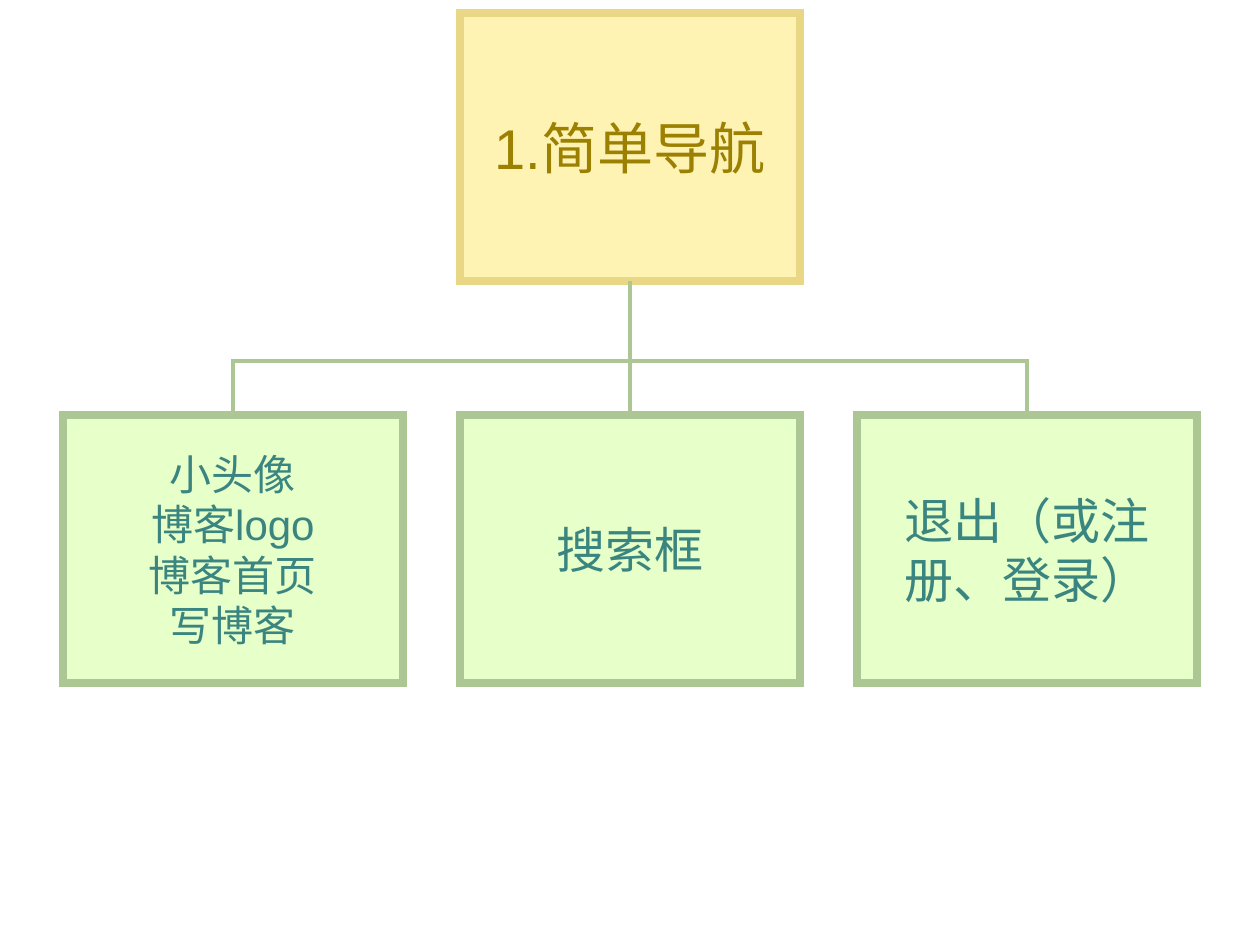
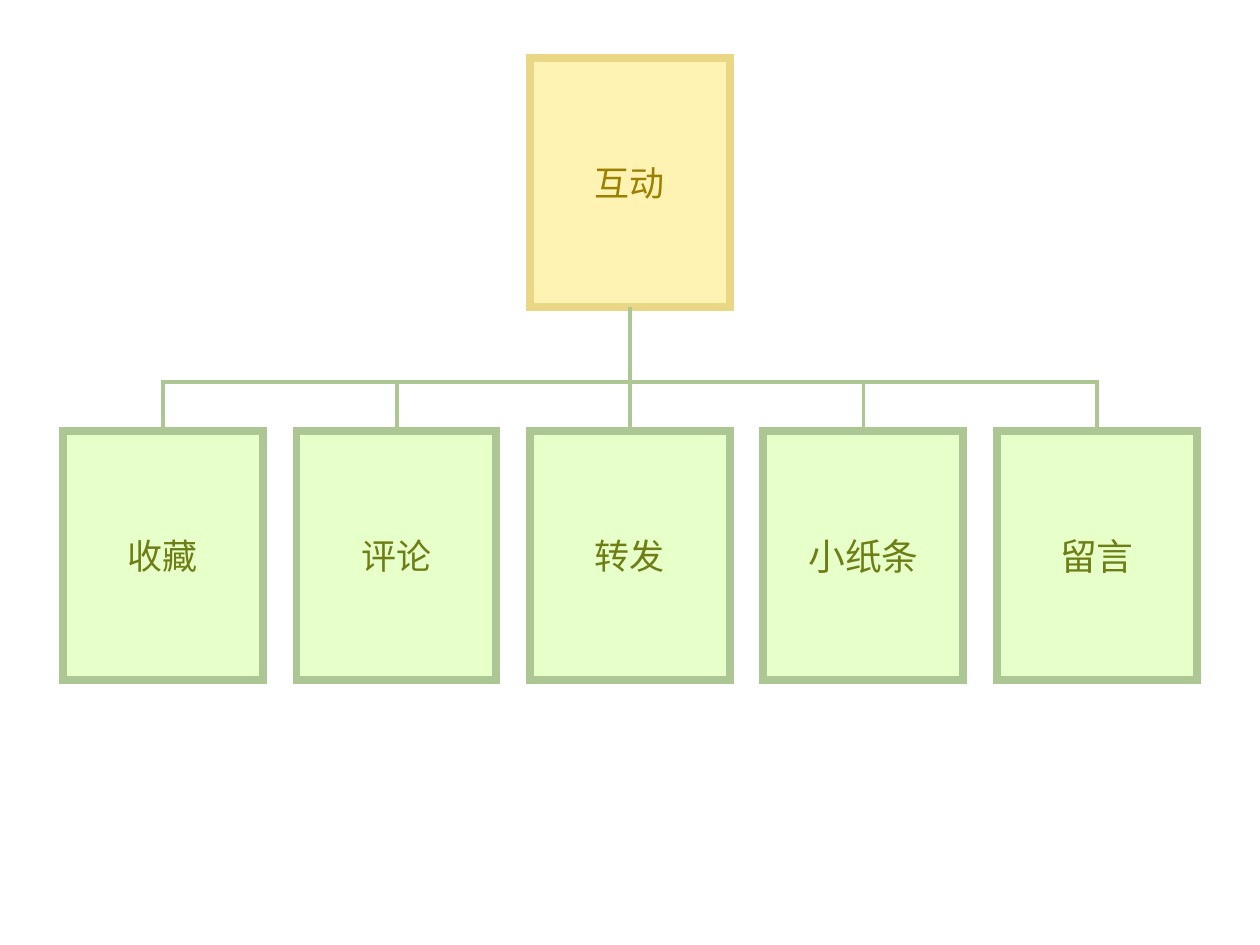
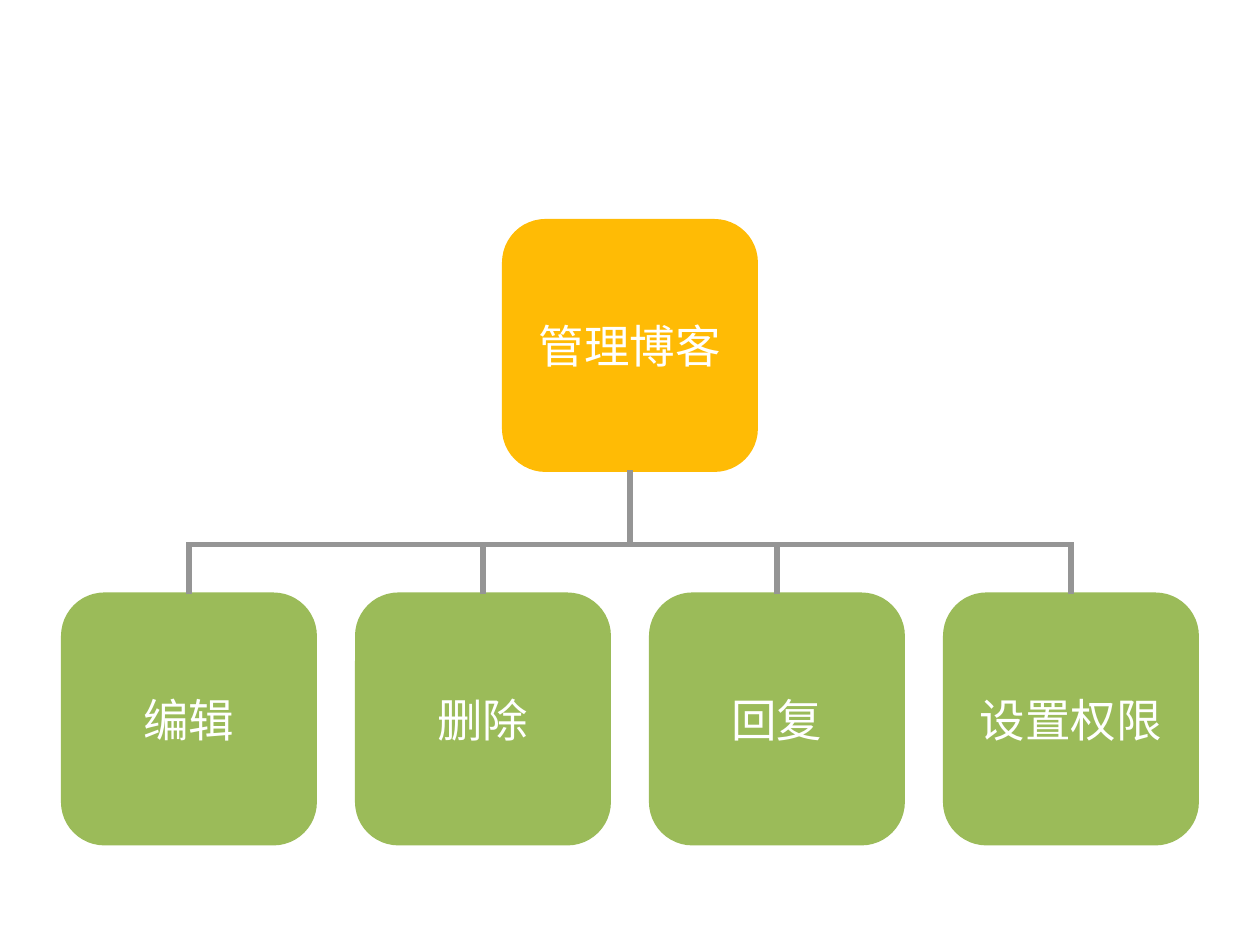
from dataclasses import dataclass

from lxml.etree import SubElement
from pptx import Presentation
from pptx.dml.color import RGBColor
from pptx.enum.shapes import MSO_CONNECTOR as CONN, MSO_SHAPE as SHAPE
from pptx.enum.text import MSO_ANCHOR as ANCHOR, PP_ALIGN as ALIGN
from pptx.oxml.ns import qn
from pptx.util import Pt

SCALE = 914400 / 126  # EMU in one px
SLIDE_W, SLIDE_H = 1260, 945
MARGIN = 63
BEND = 0.4  # where a connector turns, as a share of its rise


@dataclass(frozen=True)
class NodeStyle:
    shape: SHAPE
    fill: str
    line: str
    line_pt: float
    text: str
    alpha: int = 100


@dataclass(frozen=True)
class TreeStyle:
    root: NodeStyle
    child: NodeStyle
    link: str
    link_pt: float


class Theme:
    font = "Arial"
    sizes = {"heading": 32, "large": 28, "wide": 26, "list": 24, "medium": 21, "small": 20}
    cream = NodeStyle(SHAPE.RECTANGLE, "FFE868", "E9D785", 4.5, "9B8002", 50)
    mint_teal = NodeStyle(SHAPE.RECTANGLE, "D0FF94", "ACC794", 4.5, "3B8581", 50)
    mint_olive = NodeStyle(SHAPE.RECTANGLE, "D0FF94", "ACC794", 4.5, "6E7E14", 50)
    amber = NodeStyle(SHAPE.ROUNDED_RECTANGLE, "FFBB05", "FFBB05", 2.25, "FFFFFF")
    green = NodeStyle(SHAPE.ROUNDED_RECTANGLE, "9BBB59", "9BBB59", 2.25, "FFFFFF")
    navigation = TreeStyle(cream, mint_teal, "ACC794", 2.25)
    interaction = TreeStyle(cream, mint_olive, "ACC794", 2.25)
    management = TreeStyle(amber, green, "959595", 3)


# Each tree: style, top, box size, root node, child nodes; a node is (text, size name).
TREES = [
    (Theme.navigation, 13, (340, 268), ("1.简单导航", "heading"),
     [("小头像\n博客logo\n博客首页\n写博客", "list"), ("搜索框", "large"),
      ("退出（或注册、登录）", "large")]),
    (Theme.interaction, 58, (200, 249), ("互动", "small"),
     [("收藏", "small"), ("评论", "small"), ("转发", "small"),
      ("小纸条", "medium"), ("留言", "medium")]),
    (Theme.management, 221, (252, 249), ("管理博客", "wide"),
     [("编辑", "wide"), ("删除", "wide"), ("回复", "wide"), ("设置权限", "wide")]),
]


def px(value):
    return round(value * SCALE)


def set_line(line, color, width):
    line.color.rgb = RGBColor.from_string(color)
    line.width = Pt(width)
    SubElement(line._get_or_add_ln(), qn("a:miter"), lim="800000")


def add_node(slide, box, node, style):
    text, size = node
    sp = slide.shapes.add_shape(style.shape, *map(px, box))
    sp.shadow.inherit = False
    sp.fill.solid()
    sp.fill.fore_color.rgb = RGBColor.from_string(style.fill)
    if style.alpha < 100:
        color = sp.fill._xPr.find(qn("a:solidFill"))[0]
        SubElement(color, qn("a:alpha"), val=str(style.alpha * 1000))
    set_line(sp.line, style.line, style.line_pt)
    tf = sp.text_frame
    tf.word_wrap = True
    tf.vertical_anchor = ANCHOR.MIDDLE
    tf.text = text
    formats = {"name": Theme.font, "size": Pt(Theme.sizes[size])}
    for p in tf.paragraphs:
        p.alignment = ALIGN.CENTER
        # Keep closing punctuation inside the box instead of hanging over its edge.
        p._p.get_or_add_pPr().set("hangingPunct", "0")
        for r in p.runs:
            for name, value in formats.items():
                setattr(r.font, name, value)
            r.font.color.rgb = RGBColor.from_string(style.text)


def turn_elbow(link, start, end):
    """Rotate an elbow so that it leaves upwards from start and enters end from below."""
    (x1, y1), (x2, y2) = start, end
    rise, run = y1 - y2, abs(x2 - x1)
    frame = {"left": (x1 + x2 - rise) / 2, "top": (y1 + y2 - run) / 2,
             "width": rise, "height": run}
    for name, value in frame.items():
        setattr(link, name, px(value))
    goes_right = x1 < x2
    xfrm = link._element.spPr.find(qn("a:xfrm"))
    xfrm.set("rot", str((90 if goes_right else 270) * 60000))
    xfrm.set("flipH", "1" if goes_right else "0")
    xfrm.set("flipV", "1")
    guides = link._element.spPr.find(qn("a:prstGeom")).get_or_add_avLst()
    SubElement(guides, qn("a:gd"), name="adj1", fmla=f"val {round(BEND * 100000)}")


def add_link(slide, start, end, style):
    straight = abs(start[0] - end[0]) < 1
    kind = CONN.STRAIGHT if straight else CONN.ELBOW
    link = slide.shapes.add_connector(kind, *map(px, start + end))
    if not straight:
        turn_elbow(link, start, end)
    set_line(link.line, style.link, style.link_pt)
    SubElement(link._element.spPr, qn("a:effectLst"))


def add_tree(slide, area, size, root, children, style):
    """Centre the root at the top of area (left, top, width) and spread the children below."""
    left, top, width = area
    w, h = size
    middle = left + width / 2
    add_node(slide, (middle - w / 2, top, w, h), root, style.root)
    child_top = top + 1.5 * h
    pitch = (width - w) / (len(children) - 1)
    for i, child in enumerate(children):
        x = left + i * pitch
        add_node(slide, (x, child_top, w, h), child, style.child)
        add_link(slide, (x + w / 2, child_top), (middle, top + h), style)


def main():
    prs = Presentation()
    prs.slide_width, prs.slide_height = px(SLIDE_W), px(SLIDE_H)
    blank = prs.slide_layouts.get_by_name("Blank")
    for style, top, size, root, children in TREES:
        slide = prs.slides.add_slide(blank)
        area = (MARGIN, top, SLIDE_W - 2 * MARGIN)
        add_tree(slide, area, size, root, children, style)
    prs.save("out.pptx")


if __name__ == "__main__":
    main()
